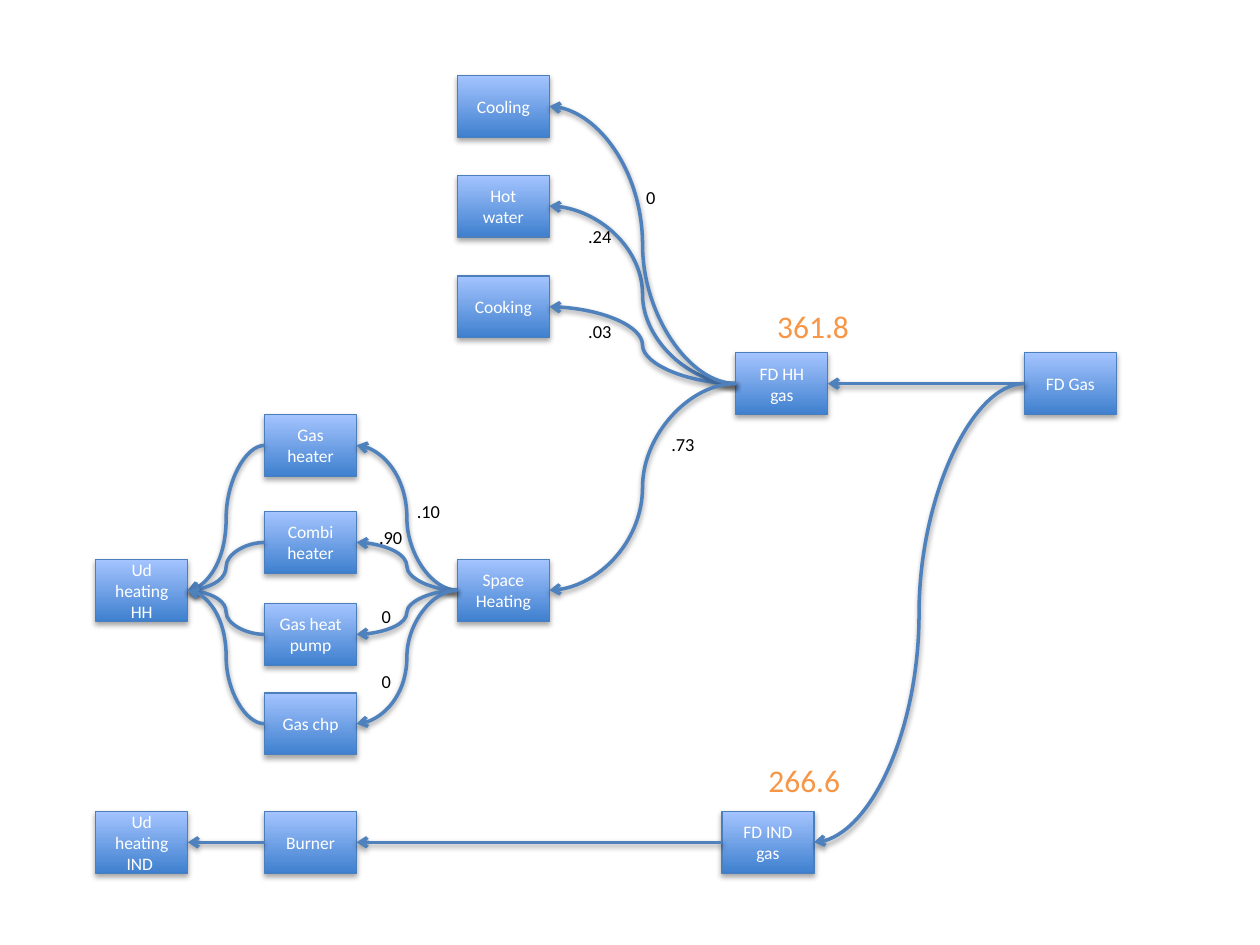
"""Build a slide that shows gas flows from final demand to useful heating."""
from typing import NamedTuple

from lxml import etree
from pptx import Presentation
from pptx.dml.color import RGBColor
from pptx.enum.shapes import MSO_CONNECTOR, MSO_SHAPE
from pptx.enum.text import MSO_ANCHOR, MSO_AUTO_SIZE, PP_ALIGN
from pptx.oxml.ns import qn
from pptx.shapes.autoshape import Shape
from pptx.util import Inches, Pt

PROCESS = MSO_SHAPE.FLOWCHART_PROCESS
CURVE = MSO_CONNECTOR.CURVE
MIDDLE = MSO_ANCHOR.MIDDLE
CENTER = PP_ALIGN.CENTER
FIT_SHAPE = MSO_AUTO_SIZE.SHAPE_TO_FIT_TEXT

WHITE = RGBColor(0xFF, 0xFF, 0xFF)
BLACK = RGBColor(0x00, 0x00, 0x00)
ORANGE = RGBColor(0xF7, 0x96, 0x46)
DARK_BLUE = RGBColor(0x3F, 0x80, 0xCE)
LIGHT_BLUE = RGBColor(0xA4, 0xC4, 0xFF)
BORDER_BLUE = RGBColor(0x4B, 0x7E, 0xBC)
FLOW_BLUE = RGBColor(0x4F, 0x81, 0xBD)

FONT = "Calibri"
BOX_W, BOX_H = 0.73, 0.49
LEFT_SITE, RIGHT_SITE = 1, 3
USEFUL_X, DEVICE_X, SERVICE_X = 0.76, 2.1, 3.63
HEATING_Y, DEMAND_Y, INDUSTRY_Y = 4.44, 2.8, 6.44


class Box(NamedTuple):
    key: str
    text: str
    x: float
    y: float


class Flow(NamedTuple):
    source: str
    target: str


class Label(NamedTuple):
    text: str
    x: float
    y: float
    w: float = 0.39
    h: float = 0.28
    size: float = 10.5
    color: RGBColor = BLACK


BOXES = [
    Box("useful_hh", "Ud heating\nHH", USEFUL_X, HEATING_Y),
    Box("heater", "Gas heater", DEVICE_X, 3.29),
    Box("combi", "Combi heater", DEVICE_X, 4.06),
    Box("pump", "Gas heat pump", DEVICE_X, 4.79),
    Box("chp", "Gas chp", DEVICE_X, 5.5),
    Box("space", "Space Heating", SERVICE_X, HEATING_Y),
    Box("cooking", "Cooking", SERVICE_X, 2.19),
    Box("households", "FD HH gas", 5.84, DEMAND_Y),
    Box("water", "Hot water", SERVICE_X, 1.39),
    Box("cooling", "Cooling", SERVICE_X, 0.6),
    Box("gas", "FD Gas", 8.13, DEMAND_Y),
    Box("industry", "FD IND\ngas", 5.73, INDUSTRY_Y),
    Box("burner", "Burner", DEVICE_X, INDUSTRY_Y),
    Box("useful_ind", "Ud heating\nIND ", USEFUL_X, INDUSTRY_Y),
]

DEVICES = ["heater", "combi", "pump", "chp"]
FLOWS = [
    *(Flow("households", service) for service in ("water", "cooking", "cooling", "space")),
    *(Flow("space", device) for device in DEVICES),
    *(Flow(device, "useful_hh") for device in DEVICES),
    Flow("industry", "burner"),
    Flow("gas", "households"),
    Flow("gas", "industry"),
    Flow("burner", "useful_ind"),
]

LABELS = [
    Label("361.8", 6.07, 2.39, 0.78, 0.4, 18, ORANGE),
    Label("266.6", 6.0, 5.99, 0.78, 0.4, 18, ORANGE),
    Label("0", 5.03, 1.43, 0.28, 0.29),
    Label(".73", 5.23, 3.39),
    Label(".24", 4.57, 1.74, 0.4),
    Label(".03", 4.57, 2.49),
    Label(".10", 3.21, 3.92),
    Label(".90", 2.91, 4.13),
    Label("0", 2.93, 4.75, 0.28, 0.29),
    Label("0", 2.93, 5.27, 0.28, 0.29),
]


def set_text(sp: Shape, text: str, size: float, color: RGBColor) -> None:
    """Write the text and format every paragraph alike."""
    sp.text_frame.text = text
    for p in sp.text_frame.paragraphs:
        p.font.name = FONT
        p.font.size = Pt(size)
        p.font.color.rgb = color


def add_box(shapes, box: Box) -> Shape:
    """Draw one process box with a vertical gradient and the theme shadow."""
    sp = shapes.add_shape(PROCESS, Inches(box.x), Inches(box.y), Inches(BOX_W), Inches(BOX_H))
    sp.fill.gradient()
    sp.fill.gradient_angle = 90
    for stop, color in zip(sp.fill.gradient_stops, (DARK_BLUE, LIGHT_BLUE)):
        stop.color.rgb = color
    sp.line.color.rgb = BORDER_BLUE
    sp.line.width = Pt(0.75)
    set_text(sp, box.text, 10, WHITE)
    sp.text_frame.vertical_anchor = MIDDLE
    for p in sp.text_frame.paragraphs:
        p.alignment = CENTER
    return sp


def add_flow(shapes, source: Shape, target: Shape) -> None:
    """Join the left side of the source to the right side of the target."""
    flow = shapes.add_connector(CURVE, 0, 0, 0, 0)
    flow.begin_connect(source, LEFT_SITE)
    flow.end_connect(target, RIGHT_SITE)
    flow.line.color.rgb = FLOW_BLUE
    flow.line.width = Pt(2)
    ln = flow.element.spPr.find(qn("a:ln"))
    etree.SubElement(ln, qn("a:tailEnd"), type="arrow")


def add_label(shapes, label: Label) -> None:
    """Draw one unwrapped value label."""
    sp = shapes.add_textbox(Inches(label.x), Inches(label.y), Inches(label.w), Inches(label.h))
    set_text(sp, label.text, label.size, label.color)
    sp.text_frame.word_wrap = False
    sp.text_frame.auto_size = FIT_SHAPE


def main() -> None:
    """Build and save the slide."""
    prs = Presentation()
    prs.slide_width, prs.slide_height = Inches(10), Inches(7.5)
    shapes = prs.slides.add_slide(prs.slide_layouts.get_by_name("Blank")).shapes
    boxes = {box.key: add_box(shapes, box) for box in BOXES}
    for flow in FLOWS:
        add_flow(shapes, boxes[flow.source], boxes[flow.target])
    for label in LABELS:
        add_label(shapes, label)
    prs.save("out.pptx")


main()
